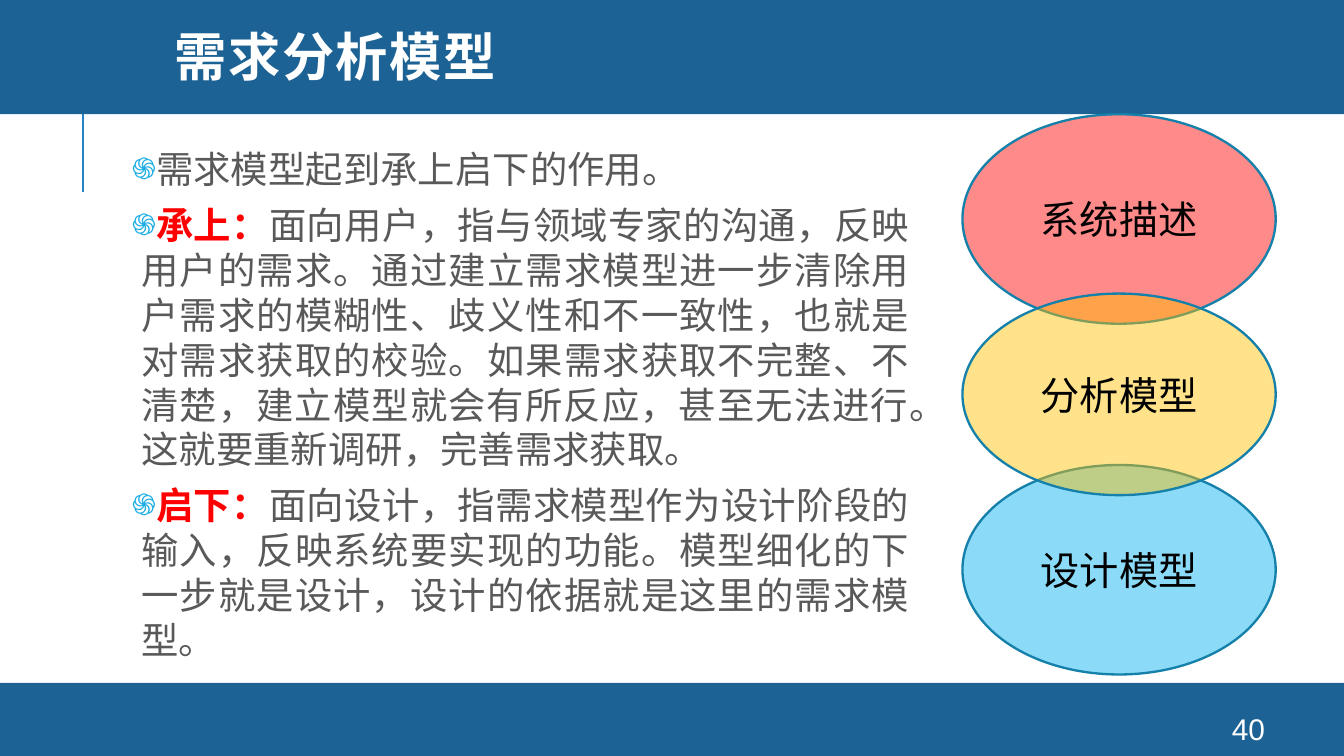
import pptx
import pptx.util
import pptx.dml.color
import pptx.enum.shapes
import pptx.enum.text
import pptx.oxml
import pptx.oxml.ns
import lxml.etree
from pptx.util import Cm

ALIGN = pptx.enum.text.PP_ALIGN
ANCHOR = pptx.enum.text.MSO_ANCHOR
SHAPE = pptx.enum.shapes.MSO_SHAPE
BLUE, GREY, RED = "1D6294", "595959", "FF0000"


def color(hex_string):
    return pptx.dml.color.RGBColor.from_string(hex_string)


def add_element(parent, tag, **attributes):
    return lxml.etree.SubElement(parent, pptx.oxml.ns.qn(tag), attributes)


def place(shape, box):
    shape.left, shape.top, shape.width, shape.height = (Cm(value) for value in box)


def set_font(font, size, hex_string, name="Arial", bold=False):
    font.size, font.name, font.bold = pptx.util.Pt(size), name, bold
    font.color.rgb = color(hex_string)


def add_filled(shapes, kind, box, fill):
    shape = shapes.add_shape(kind, *(Cm(value) for value in box))
    shape.shadow.inherit = False
    shape.fill.solid()
    shape.fill.fore_color.rgb = color(fill)
    shape.line.fill.background()
    return shape


def add_frame(slide, width, height):
    # Header and footer bands, and the accent line below the header
    line = slide.shapes.add_connector(
        pptx.enum.shapes.MSO_CONNECTOR.STRAIGHT, Cm(1.57), Cm(3.63), Cm(1.57), Cm(1.73))
    line.line.color.rgb = color("2683C6")
    line.line.width = pptx.util.Pt(1.5)
    add_element(line._element.spPr, "a:effectLst")
    add_filled(slide.shapes, SHAPE.RECTANGLE, (0, height - 1.38, width, 1.38), BLUE)
    add_filled(slide.shapes, SHAPE.RECTANGLE, (0, -0.08, width, 2.24), BLUE)


def fill_title(title, box, text):
    place(title, box)
    frame = title.text_frame
    frame.text = text
    frame.vertical_anchor = ANCHOR.MIDDLE
    frame.auto_size = pptx.enum.text.MSO_AUTO_SIZE.NONE
    paragraph = frame.paragraphs[0]
    paragraph.alignment = ALIGN.LEFT
    paragraph.line_spacing = 0.8
    set_font(paragraph.font, 28, "FFFFFF", "Montserrat", True)
    paragraph.runs[0].font._element.set("spc", "80")


def set_bullet(paragraph):
    properties = paragraph._element.get_or_add_pPr()
    properties.set("marL", str(Cm(0.18)))
    properties.set("indent", str(Cm(-1.19)))
    bullet_color = add_element(properties, "a:buClr")
    add_element(bullet_color, "a:srgbClr", val="1CADE4")
    add_element(properties, "a:buSzPct", val="80000")
    add_element(properties, "a:buFont", typeface="Arial")
    add_element(properties, "a:buChar", char="֍")


def fill_body(body, box, items):
    place(body, box)
    frame = body.text_frame
    frame.auto_size = pptx.enum.text.MSO_AUTO_SIZE.NONE
    frame.margin_left = frame.margin_right = Cm(0.13)
    frame.margin_top = frame.margin_bottom = Cm(0.13)
    for index, (lead, text) in enumerate(items):
        paragraph = frame.paragraphs[0] if index == 0 else frame.add_paragraph()
        paragraph.alignment = ALIGN.JUSTIFY
        paragraph.space_before = pptx.util.Pt(6)
        paragraph.line_spacing = pptx.util.Pt(24)
        set_bullet(paragraph)
        for part, hex_string, bold in ((lead, RED, True), (text, GREY, False)):
            if part:
                run = paragraph.add_run()
                run.text = part
                set_font(run.font, 20, hex_string, bold=bold)


def add_models(slide, box, models):
    # Overlapping translucent ellipses with evenly spaced centres
    left, top, width, height = box
    group = slide.shapes.add_group_shape()
    first_center, step = top + 1.98, (height - 3.96) / 2
    for row, text, fill, oval_height in models:
        oval_top = first_center + row * step - oval_height / 2
        oval = add_filled(group.shapes, SHAPE.OVAL, (left, oval_top, width, oval_height), fill)
        fill_color = oval._element.spPr.find(".//" + pptx.oxml.ns.qn("a:srgbClr"))
        add_element(fill_color, "a:alpha", val="46000")
        oval.line.color.rgb = color("1580A9")
        oval.line.width = pptx.util.Pt(1.25)
        write_centered(oval.text_frame, text, 21, "000000")


def write_centered(frame, text, size, hex_string):
    frame.text = text
    frame.word_wrap = True
    frame.vertical_anchor = ANCHOR.MIDDLE
    frame.paragraphs[0].alignment = ALIGN.CENTER
    set_font(frame.paragraphs[0].font, size, hex_string)


def add_page_number(slide, box, number):
    text_box = slide.shapes.add_textbox(*(Cm(value) for value in box))
    write_centered(text_box.text_frame, number, 16, "FFFFFF")


ITEMS = [
    ("", "需求模型起到承上启下的作用。"),
    ("承上：", "面向用户，指与领域专家的沟通，反映用户的需求。通过建立需求模型进一步清除"
     "用户需求的模糊性、歧义性和不一致性，也就是对需求获取的校验。如果需求获取不完整、"
     "不清楚，建立模型就会有所反应，甚至无法进行。这就要重新调研，完善需求获取。"),
    ("启下：", "面向设计，指需求模型作为设计阶段的输入，反映系统要实现的功能。"
     "模型细化的下一步就是设计，设计的依据就是这里的需求模型。"),
]
# Row, text, fill and height, from back to front
MODELS = [
    (0, "系统描述", "FF0000", 3.96),
    (2, "设计模型", "00B0F0", 3.96),
    (1, "分析模型", "FFC000", 3.81),
]

presentation = pptx.Presentation()
presentation.slide_width, presentation.slide_height = Cm(25.4), Cm(14.29)
slide = presentation.slides.add_slide(presentation.slide_layouts[1])
title, body = slide.placeholders
add_frame(slide, 25.4, 14.29)
# Bring the placeholders in front of the bands
for placeholder in (title, body):
    slide.shapes._spTree.append(placeholder._element)
fill_title(title, (3.05, 0, 21.56, 2.31), "需求分析模型")
fill_body(body, (2.36, 2.64, 14.96, 10.46), ITEMS)
add_models(slide, (18.19, 2.16, 5.92, 10.59), MODELS)
add_page_number(slide, (22.58, 13.49, 2.03, 0.58), "40")
presentation.save("out.pptx")
